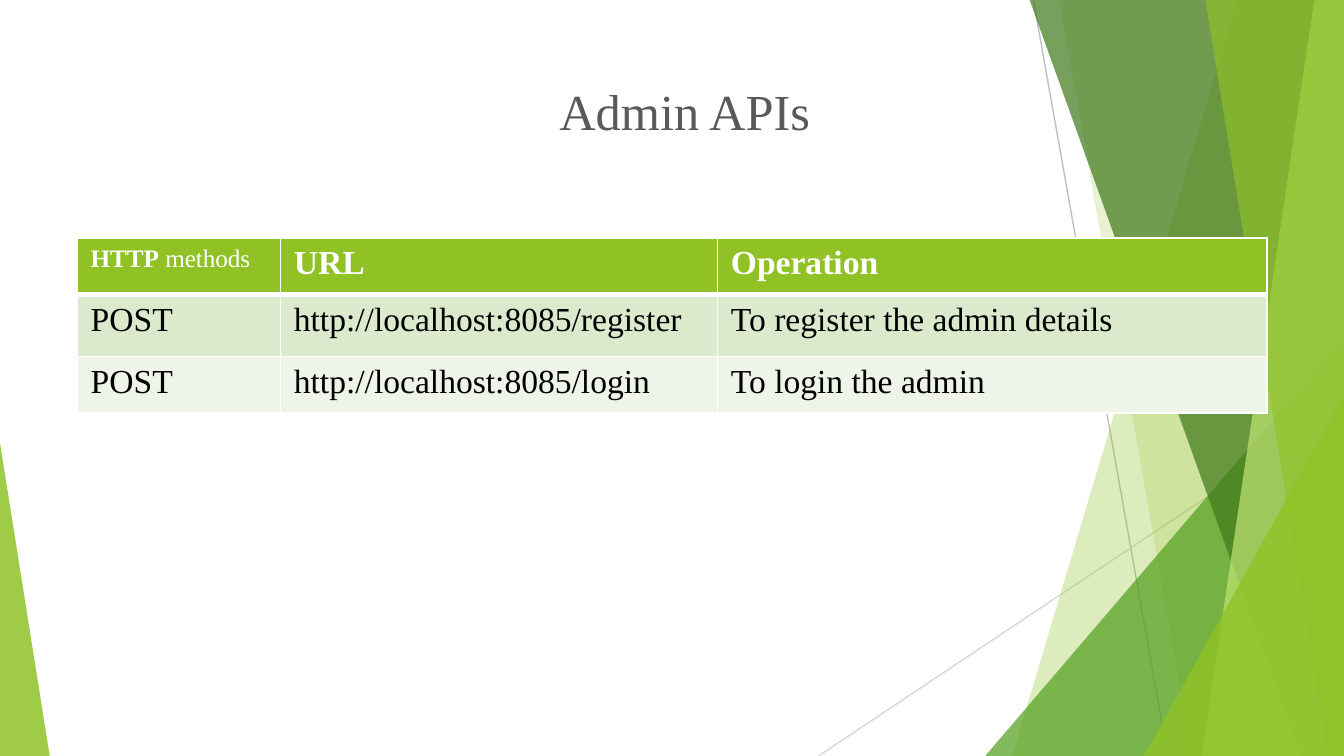
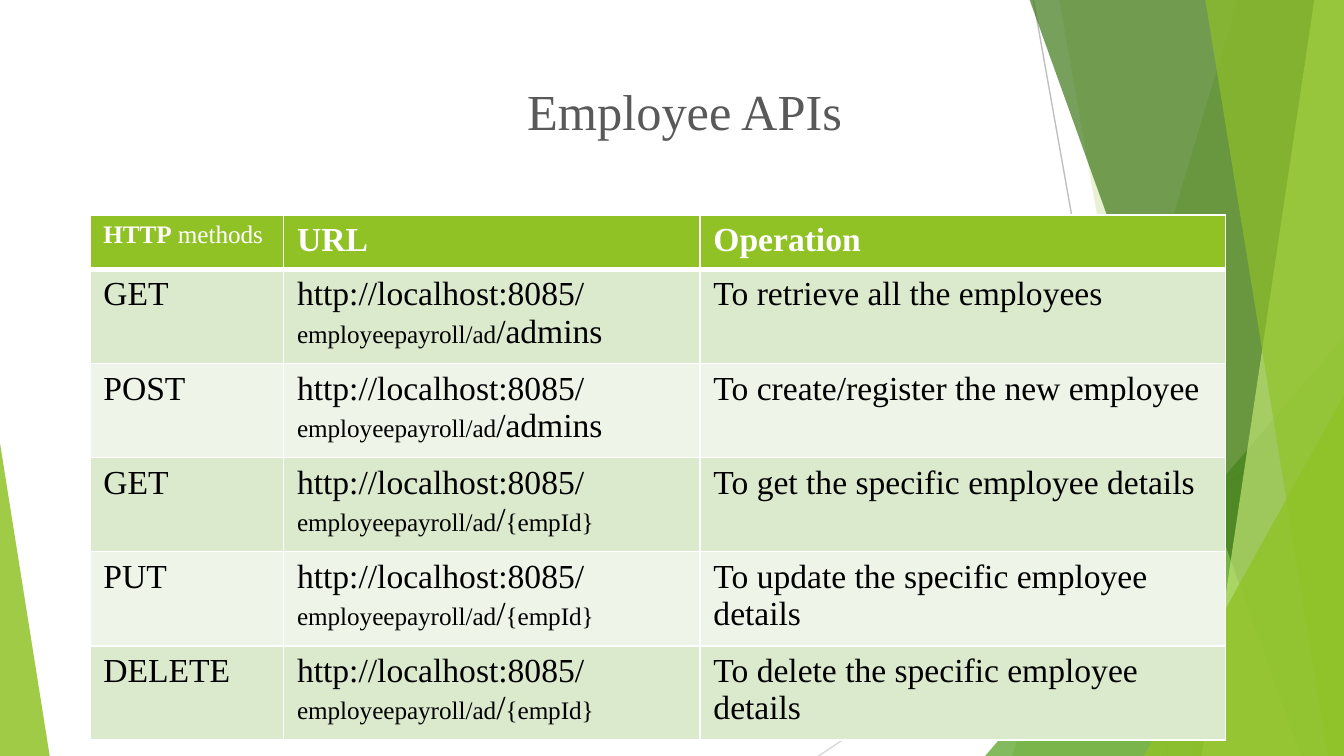
from lxml import etree
from pptx import Presentation
from pptx.dml.color import RGBColor
from pptx.enum.shapes import MSO_CONNECTOR, MSO_SHAPE
from pptx.enum.text import PP_ALIGN
from pptx.oxml.ns import qn
from pptx.util import Cm, Pt

STRAIGHT = MSO_CONNECTOR.STRAIGHT
TRIANGLE = MSO_SHAPE.ISOSCELES_TRIANGLE
CENTER = PP_ALIGN.CENTER

FONT = "Times New Roman"
TITLE_SIZE, TEXT_SIZE, SMALL_SIZE = 27, 18, 13.5
WIDTH, HEIGHT = 25.4, 14.29

LIME, LEAF, FOREST, PALE_LIME = "90C226", "54A021", "3F7819", "C0E474"
WHITE, BLACK, TITLE_GREY = "FFFFFF", "000000", "595959"
ROW_BANDS = ("DBE9CD", "EEF4E8")

# Each cell is a list of (text, size) parts.
HEADER = (
    [("HTTP", SMALL_SIZE), (" methods", SMALL_SIZE)],
    [("URL", TEXT_SIZE)],
    [("Operation", TEXT_SIZE)],
)
HOST = "http://localhost:8085/"
EMPLOYEE_BASE = [(HOST, TEXT_SIZE), ("employeepayroll/ad", SMALL_SIZE)]
ALL_ADMINS = EMPLOYEE_BASE + [("/admins", TEXT_SIZE)]
ONE_EMPLOYEE = EMPLOYEE_BASE + [("/", TEXT_SIZE), ("{empId}", SMALL_SIZE)]

ADMIN_APIS = [
    ("POST", [(HOST + "register", TEXT_SIZE)], "To register the admin details"),
    ("POST", [(HOST + "login", TEXT_SIZE)], "To login the admin"),
]
EMPLOYEE_APIS = [
    ("GET", ALL_ADMINS, "To retrieve all the employees"),
    ("POST", ALL_ADMINS, "To create/register the new employee"),
    ("GET", ONE_EMPLOYEE, "To get the specific employee details"),
    ("PUT", ONE_EMPLOYEE, "To update the specific employee details"),
    ("DELETE", ONE_EMPLOYEE, "To delete the specific employee details"),
]


def color(hex_value):
    return RGBColor.from_string(hex_value)


def style_run(run, size, hex_value, bold=False):
    run.font.name = FONT
    run.font.size = Pt(size)
    run.font.bold = bold
    run.font.color.rgb = color(hex_value)


def paint(shape, hex_value, opacity):
    """Fill a shape with a translucent colour, without outline or shadow."""
    shape.shadow.inherit = False
    shape.line.fill.background()
    shape.fill.solid()
    shape.fill.fore_color.rgb = color(hex_value)
    srgb = shape.fill._xPr.find(qn("a:solidFill"))[0]
    etree.SubElement(srgb, qn("a:alpha"), val=str(opacity * 1000))


def add_hairline(slide, start, end, hex_value):
    line = slide.shapes.add_connector(STRAIGHT, *map(Cm, start + end))
    line.line.color.rgb = color(hex_value)
    line.line.width = Pt(0.75)
    etree.SubElement(line._element.spPr, qn("a:effectLst"))


def add_ribbon(slide, top_x, bottom_x, hex_value, opacity):
    """Full-height band from a slanted left edge to the slide's right edge."""
    builder = slide.shapes.build_freeform(Cm(top_x), 0)
    corners = [(WIDTH, 0), (WIDTH, HEIGHT), (bottom_x, HEIGHT)]
    builder.add_line_segments([(Cm(x), Cm(y)) for x, y in corners])
    paint(builder.convert_to_shape(), hex_value, opacity)


def add_corner(slide, width, height, hex_value, opacity, right=True):
    """Right-angled triangle in a bottom corner of the slide."""
    left = WIDTH - width if right else 0
    corner = slide.shapes.add_shape(
        TRIANGLE, Cm(left), Cm(HEIGHT - height), Cm(width), Cm(height))
    corner.adjustments[0] = 1 if right else 0
    paint(corner, hex_value, opacity)


def add_facets(slide):
    add_hairline(slide, (19.53, 0), (22.07, HEIGHT), "BFBFBF")
    add_hairline(slide, (WIDTH, 7.67), (15.47, HEIGHT), "D9D9D9")
    add_ribbon(slide, 23.39, 19.13, LIME, 30)
    add_ribbon(slide, 20.02, 22.53, LIME, 20)
    add_corner(slide, 6.78, 7.92, LEAF, 72)
    add_ribbon(slide, 19.46, 24.59, FOREST, 70)
    add_ribbon(slide, 24.84, 22.71, PALE_LIME, 70)
    add_ribbon(slide, 22.78, 25.1, LIME, 65)
    add_corner(slide, 3.78, 6.81, LIME, 80)
    add_corner(slide, 0.94, 5.92, LIME, 85, right=False)


def add_title(slide, title):
    box = slide.shapes.add_textbox(Cm(1.69), Cm(1.17), Cm(22.5), Cm(1.6))
    frame = box.text_frame
    frame.word_wrap = True
    frame.margin_top = Cm(0.35)
    frame.text = title
    heading = frame.paragraphs[0]
    heading.alignment = CENTER
    style_run(heading.runs[0], TITLE_SIZE, TITLE_GREY)


def set_borders(cell, top, bottom):
    """White borders; top and bottom are widths in points."""
    properties = cell._tc.get_or_add_tcPr()
    for side, points in (("L", 1), ("R", 1), ("T", top), ("B", bottom)):
        border = etree.SubElement(properties, qn(f"a:ln{side}"), w=str(Pt(points)))
        fill = etree.SubElement(border, qn("a:solidFill"))
        etree.SubElement(fill, qn("a:srgbClr"), val=WHITE)


def fill_cell(cell, parts, row):
    is_header = row == 0
    set_borders(cell, top=3 if row == 1 else 1, bottom=3 if is_header else 1)
    cell.fill.solid()
    cell.fill.fore_color.rgb = color(LIME if is_header else ROW_BANDS[(row - 1) % 2])
    paragraph = cell.text_frame.paragraphs[0]
    for index, (text, size) in enumerate(parts):
        run = paragraph.add_run()
        run.text = text
        style_run(run, size, WHITE if is_header else BLACK,
                  bold=is_header and index == 0)


def add_api_table(slide, apis, left, top, widths, heights):
    rows = [HEADER] + [
        ([(method, TEXT_SIZE)], url, [(operation, TEXT_SIZE)])
        for method, url, operation in apis
    ]
    table = slide.shapes.add_table(
        len(rows), len(widths), Cm(left), Cm(top),
        Cm(sum(widths)), Cm(sum(heights))).table
    for column, width in zip(table.columns, widths):
        column.width = Cm(width)
    for row, (cells, height) in enumerate(zip(rows, heights)):
        table.rows[row].height = Cm(height)
        for column, parts in enumerate(cells):
            fill_cell(table.cell(row, column), parts, row)


def add_api_slide(deck, title, apis, **layout):
    slide = deck.slides.add_slide(deck.slide_layouts[6])
    add_facets(slide)
    add_title(slide, title)
    add_api_table(slide, apis, **layout)


def main():
    deck = Presentation()
    deck.slide_width, deck.slide_height = Cm(WIDTH), Cm(HEIGHT)
    add_api_slide(deck, "Admin APIs", ADMIN_APIS, left=1.46, top=4.5,
                  widths=(3.84, 8.26, 10.39), heights=(1.07, 1.17, 1.07))
    add_api_slide(deck, "Employee APIs", EMPLOYEE_APIS, left=1.7, top=4.06,
                  widths=(3.66, 7.87, 9.93), heights=[1.03] * 6)
    deck.save("out.pptx")


if __name__ == "__main__":
    main()
